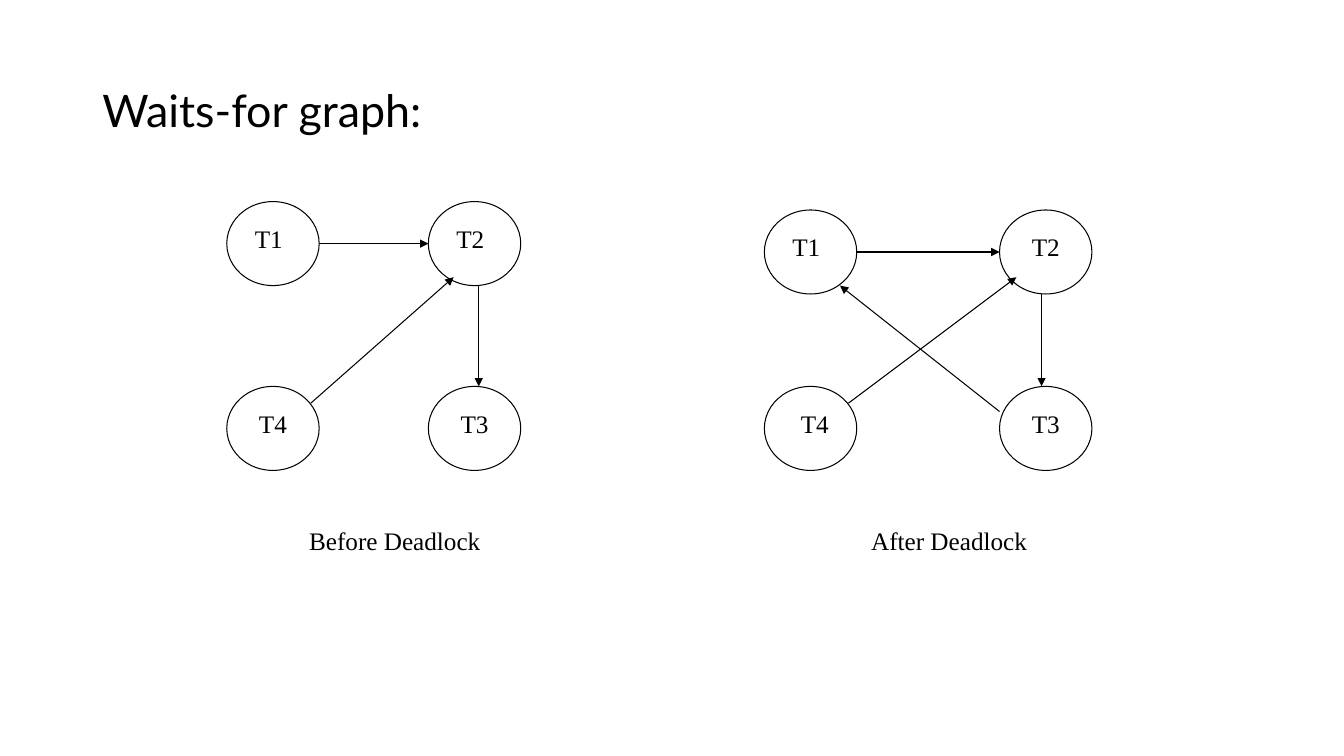
from dataclasses import dataclass

from lxml.etree import SubElement
from pptx import Presentation
from pptx.dml.color import RGBColor
from pptx.enum.shapes import MSO_CONNECTOR as Connector, MSO_SHAPE as Preset
from pptx.enum.text import MSO_ANCHOR as Anchor, PP_ALIGN as Align
from pptx.oxml.ns import qn
from pptx.slide import Slide
from pptx.util import Pt

Point = tuple[float, float]


@dataclass(frozen=True)
class Theme:
    ink: RGBColor = RGBColor(0, 0, 0)
    paper: RGBColor = RGBColor(255, 255, 255)
    title_font: str = "Lato"
    graph_font: str = "Times New Roman"
    title_size: float = 32
    graph_size: float = 18
    line_width: float = 0.75


@dataclass(frozen=True)
class Box:
    left: float
    top: float
    width: float
    height: float


@dataclass(frozen=True)
class Transaction:
    name: str
    left: float
    top: float
    label_inset: float = 12
    label_width: float = 42


@dataclass(frozen=True)
class Wait:
    """One arrow; start and end are measured from each circle's top left."""
    waiter: str
    holder: str
    start: Point
    end: Point


@dataclass(frozen=True)
class WaitsForGraph:
    caption: str
    caption_left: float
    caption_width: float
    transactions: tuple[Transaction, ...]
    waits: tuple[Wait, ...]


THEME = Theme()
CIRCLE_WIDTH, CIRCLE_HEIGHT = 66, 60
LABEL_DROP, LABEL_HEIGHT = 12, 28.8
LOWER_ROW, CAPTION_TOP = 276, 372

T1_WAITS_FOR_T2 = Wait("T1", "T2", (CIRCLE_WIDTH, 30), (0, 30))

GRAPHS = (
    WaitsForGraph(
        "Before Deadlock", 180, 204,
        (
            Transaction("T1", 162, 144, label_inset=6, label_width=48),
            Transaction("T2", 306, 144, label_width=36),
            Transaction("T3", 306, LOWER_ROW),
            Transaction("T4", 162, LOWER_ROW),
        ),
        (
            T1_WAITS_FOR_T2,
            Wait("T4", "T2", (60, 12), (18, 54)),
            Wait("T2", "T3", (36, CIRCLE_HEIGHT), (36, 0)),
        ),
    ),
    WaitsForGraph(
        "After Deadlock", 588, 180,
        (
            Transaction("T1", 546, 150, label_width=36),
            Transaction("T2", 714, 150),
            Transaction("T3", 714, LOWER_ROW),
            Transaction("T4", 546, LOWER_ROW, label_width=48),
        ),
        (
            T1_WAITS_FOR_T2,
            Wait("T2", "T3", (30, CIRCLE_HEIGHT), (30, 0)),
            Wait("T4", "T2", (60, 12), (12, 48)),
            Wait("T3", "T1", (0, 18), (54, 54)),
        ),
    ),
)


def add_text(slide: Slide, text: str, box: Box, font: str, size: float,
             align: Align = Align.CENTER, anchor: Anchor = Anchor.TOP,
             line_spacing: float = 1.0) -> None:
    frame = slide.shapes.add_textbox(
        Pt(box.left), Pt(box.top), Pt(box.width), Pt(box.height)).text_frame
    frame.word_wrap = True
    frame.vertical_anchor = anchor
    paragraph = frame.paragraphs[0]
    paragraph.alignment = align
    paragraph.line_spacing = line_spacing
    run = paragraph.add_run()
    run.text = text
    run.font.name = font
    run.font.size = Pt(size)
    run.font.color.rgb = THEME.ink


def add_graph_text(slide: Slide, text: str, left: float, top: float,
                   width: float) -> None:
    add_text(slide, text, Box(left, top, width, LABEL_HEIGHT),
             THEME.graph_font, THEME.graph_size)


def add_circle(slide: Slide, transaction: Transaction) -> None:
    circle = slide.shapes.add_shape(
        Preset.OVAL, Pt(transaction.left), Pt(transaction.top),
        Pt(CIRCLE_WIDTH), Pt(CIRCLE_HEIGHT))
    circle.shadow.inherit = False
    circle.fill.solid()
    circle.fill.fore_color.rgb = THEME.paper
    circle.line.color.rgb = THEME.ink
    circle.line.width = Pt(THEME.line_width)


def add_arrow(slide: Slide, start: Point, end: Point) -> None:
    arrow = slide.shapes.add_connector(
        Connector.STRAIGHT, *(Pt(length) for length in start + end))
    arrow.line.color.rgb = THEME.ink
    arrow.line.width = Pt(THEME.line_width)
    SubElement(arrow.line._get_or_add_ln(), qn("a:tailEnd"), type="triangle")
    SubElement(arrow._element.spPr, qn("a:effectLst"))


def add_graph(slide: Slide, graph: WaitsForGraph) -> None:
    for transaction in graph.transactions:
        add_circle(slide, transaction)
    for transaction in graph.transactions:
        add_graph_text(slide, transaction.name,
                       transaction.left + transaction.label_inset,
                       transaction.top + LABEL_DROP, transaction.label_width)
    by_name = {transaction.name: transaction for transaction in graph.transactions}
    for wait in graph.waits:
        waiter, holder = by_name[wait.waiter], by_name[wait.holder]
        add_arrow(slide,
                  (waiter.left + wait.start[0], waiter.top + wait.start[1]),
                  (holder.left + wait.end[0], holder.top + wait.end[1]))
    add_graph_text(slide, graph.caption, graph.caption_left, CAPTION_TOP,
                   graph.caption_width)


def main() -> None:
    deck = Presentation()
    deck.slide_width, deck.slide_height = Pt(960), Pt(540)
    slide = deck.slides.add_slide(deck.slide_layouts[6])
    add_text(slide, "Waits-for graph:", Box(66, 28.8, 828, 104.4),
             THEME.title_font, THEME.title_size, Align.LEFT, Anchor.MIDDLE,
             line_spacing=0.9)
    for graph in GRAPHS:
        add_graph(slide, graph)
    deck.save("out.pptx")


if __name__ == "__main__":
    main()
